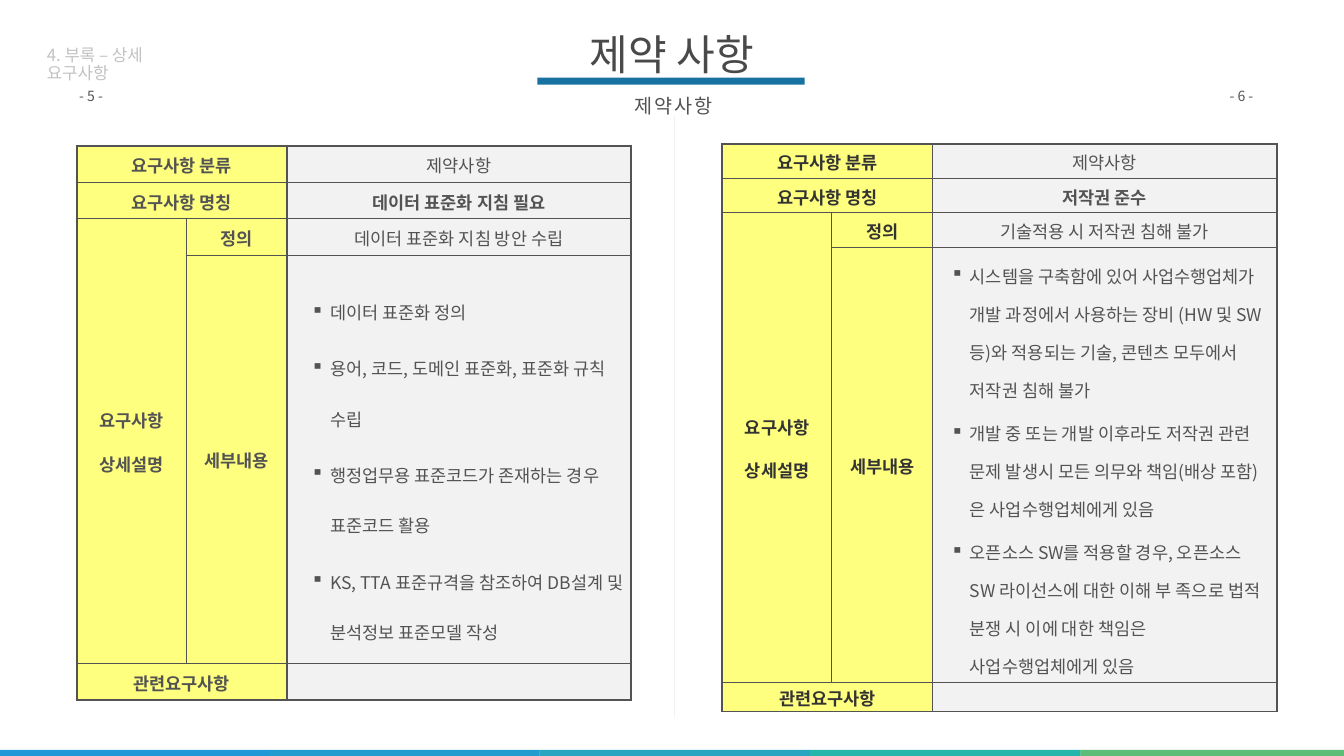
from lxml.etree import SubElement
from pptx import Presentation
from pptx.dml.color import RGBColor
from pptx.enum.shapes import MSO_SHAPE
from pptx.enum.text import MSO_ANCHOR, MSO_AUTO_SIZE, PP_ALIGN
from pptx.oxml import parse_xml
from pptx.oxml.ns import nsdecls, qn
from pptx.util import Inches, Pt

FONT = "Noto Sans CJK KR"
COLORS = {
    "text": "535353", "label": "333333", "title": "494949", "section": "C2C2C2",
    "yellow": "FFFF00", "gray": "F2F2F2", "white": "FFFFFF", "accent": "1772A2",
}
FOOTER = ["1F98D8", "229CCE", "27A5C1", "24B6AB", "5BBD76"]
COL_WIDTHS = [2.17, 2, 6.83]
COL_LINES = [3, 1, 2.25, 3]
ROW_LINES = [3, 1, 1, 1, 1, 3]
MERGES = [(0, 0, 0, 1), (1, 0, 1, 1), (2, 0, 3, 0), (4, 0, 4, 1)]
LABELS = {
    (0, 0): ["요구사항 분류"], (1, 0): ["요구사항 명칭"], (2, 0): ["요구사항", "상세설명"],
    (2, 1): ["정의"], (3, 1): ["세부내용"], (4, 0): ["관련요구사항"],
}
STANDARD = {
    "left": 1.52, "top": 2.9, "rows": [0.72, 0.72, 0.72, 8.11, 0.72],
    "label_color": COLORS["text"], "indent": 0.79, "spacing": 2,
    "values": ["제약사항", "데이터 표준화 지침 필요", "데이터 표준화 지침 방안 수립"],
    "details": [
        "데이터 표준화 정의",
        "용어, 코드, 도메인 표준화, 표준화 규칙 수립",
        "행정업무용 표준코드가 존재하는 경우 표준코드 활용",
        "KS, TTA 표준규격을 참조하여 DB설계 및 분석정보 표준모델 작성",
    ],
}
COPYRIGHT = {
    "left": 14.33, "top": 2.86, "rows": [0.68, 0.68, 0.68, 8.63, 0.58],
    "label_color": COLORS["label"], "indent": 0.67, "spacing": 1.5,
    "values": ["제약사항", "저작권 준수", "기술적용 시 저작권 침해 불가"],
    "details": [
        "시스템을 구축함에 있어 사업수행업체가 개발 과정에서 사용하는 장비 (HW 및 SW 등)와 "
        "적용되는 기술, 콘텐츠 모두에서 저작권 침해 불가",
        "개발 중 또는 개발 이후라도 저작권 관련 문제 발생시 모든 의무와 책임(배상 포함)은 "
        "사업수행업체에게 있음",
        "오픈소스 SW를 적용할 경우, 오픈소스 SW 라이선스에 대한 이해 부 족으로 법적 분쟁 시 "
        "이에 대한 책임은 사업수행업체에게 있음",
    ],
}


def format_runs(p, size, color, bold=False):
    for r in p.runs:
        r.font.size = Pt(size)
        r.font.name = FONT
        r.font.bold = bold
        r.font.color.rgb = RGBColor.from_string(color)
        SubElement(r._r.get_or_add_rPr(), qn("a:ea")).set("typeface", FONT)


def add_bar(s, left, top, width, height, color, line=None):
    sp = s.shapes.add_shape(MSO_SHAPE.RECTANGLE, Inches(left), Inches(top), Inches(width), Inches(height))
    sp.shadow.inherit = False
    sp.fill.solid()
    sp.fill.fore_color.rgb = RGBColor.from_string(color)
    if line:
        sp.line.color.rgb = RGBColor.from_string(line)
        sp.line.width = Pt(1)
    else:
        sp.line.fill.background()
    return sp


def add_text(s, box, text, size, color, inset=(0.1, 0.05), wrap=True, align=PP_ALIGN.LEFT):
    sp = s.shapes.add_textbox(*[Inches(v) for v in box])
    tf = sp.text_frame
    tf.word_wrap = wrap
    tf.auto_size = MSO_AUTO_SIZE.SHAPE_TO_FIT_TEXT
    tf.margin_left = tf.margin_right = Inches(inset[0])
    tf.margin_top = tf.margin_bottom = Inches(inset[1])
    tf.text = text
    p = tf.paragraphs[0]
    p.alignment = align
    format_runs(p, size, color)
    return tf


def fill_cell(cell, color, alpha=None):
    cell.fill.solid()
    cell.fill.fore_color.rgb = RGBColor.from_string(color)
    if alpha:
        rgb = cell._tc.tcPr.find(qn("a:solidFill")).find(qn("a:srgbClr"))
        SubElement(rgb, qn("a:alpha")).set("val", str(alpha * 1000))


def set_borders(cell, left, right, top, bottom):
    for i, (side, width) in enumerate(zip("LRTB", (left, right, top, bottom))):
        cell._tc.tcPr.insert(i, parse_xml(
            f'<a:ln{side} {nsdecls("a")} w="{Pt(width)}"><a:solidFill>'
            f'<a:srgbClr val="{COLORS["text"]}"/></a:solidFill></a:ln{side}>'))


def set_cell_text(cell, lines, color, bold, inset, spacing=1.07, before=0, after=8, indent=None):
    cell.vertical_anchor = MSO_ANCHOR.MIDDLE
    cell.margin_left = cell.margin_right = Inches(inset)
    cell.margin_top = cell.margin_bottom = Inches(inset)
    tf = cell.text_frame
    tf.text = "\n".join(lines)
    for p in tf.paragraphs:
        p.line_spacing = spacing
        p.space_before, p.space_after = Pt(before), Pt(after)
        if indent:
            cell.margin_right = Inches(0.12)
            pPr = p._p.get_or_add_pPr()
            pPr.set("marL", str(Inches(indent)))
            pPr.set("indent", str(Inches(-0.38)))
            SubElement(pPr, qn("a:buChar")).set("char", "▪")
        else:
            p.alignment = PP_ALIGN.CENTER
        format_runs(p, 25, color, bold)


def add_requirement_table(s, req):
    rows = req["rows"]
    frame = s.shapes.add_table(len(rows), len(COL_WIDTHS), Inches(req["left"]), Inches(req["top"]),
                               Inches(sum(COL_WIDTHS)), Inches(sum(rows)))
    table = frame.table
    table.first_row = table.horz_banding = False
    for col, width in zip(table.columns, COL_WIDTHS):
        col.width = Inches(width)
    for row, height in zip(table.rows, rows):
        row.height = Inches(height)
    for r1, c1, r2, c2 in MERGES:
        table.cell(r1, c1).merge(table.cell(r2, c2))

    for r in range(len(rows)):
        for c in range(len(COL_WIDTHS)):
            cell = table.cell(r, c)
            if c == 2:
                fill_cell(cell, COLORS["gray"])
            else:
                fill_cell(cell, COLORS["yellow"], 50)
            if not cell.is_spanned:
                right = c + (cell.span_width if cell.is_merge_origin else 1)
                bottom = r + (cell.span_height if cell.is_merge_origin else 1)
                set_borders(cell, COL_LINES[c], COL_LINES[right], ROW_LINES[r], ROW_LINES[bottom])

    for (r, c), lines in LABELS.items():
        set_cell_text(table.cell(r, c), lines, req["label_color"], True, 0.01, before=12, after=12)
    for r, value in enumerate(req["values"]):
        set_cell_text(table.cell(r, 2), [value], COLORS["text"], r == 1, 0.07)
    set_cell_text(table.cell(3, 2), req["details"], COLORS["text"], False, 0.07,
                  spacing=req["spacing"], indent=req["indent"])


def main():
    prs = Presentation()
    prs.slide_width, prs.slide_height = Inches(26.66), Inches(15)
    s = prs.slides.add_slide(prs.slide_layouts[6])

    for i, color in enumerate(FOOTER):
        add_bar(s, -0.03 + i * 5.365, 14.88, 5.37, 0.2, color)

    add_requirement_table(s, STANDARD)
    divider = add_bar(s, 7.4, 8.25, 11.96, 0.05, COLORS["gray"], COLORS["white"])
    divider.rotation = 90
    add_requirement_table(s, COPYRIGHT)

    for left, number in ((1.52, "- 5 -"), (24.34, "- 6 -")):
        add_text(s, (left, 1.68, 0.94, 0.44), number, 20, COLORS["text"], (0.05, 0.05))

    add_bar(s, 10.66, 1.54, 5.3, 0.14, COLORS["accent"])
    subtitle = add_text(s, (12.33, 1.65, 2.05, 0.78), "제약사항", 28, COLORS["text"],
                        (0.24, 0.12), False, PP_ALIGN.CENTER)
    subtitle.paragraphs[0].line_spacing = 1.2
    subtitle.paragraphs[0].runs[0].font._element.set("spc", "300")
    title = add_text(s, (10.53, 0.44, 5.6, 1.24), "제약 사항", 60, COLORS["title"],
                     (0.12, 0.12), True, PP_ALIGN.CENTER)
    title.vertical_anchor = MSO_ANCHOR.MIDDLE
    section = add_text(s, (0.83, 0.89, 3.5, 0.5), "4. 부록 – 상세\v요구사항", 24, COLORS["section"], wrap=False)
    section.paragraphs[0].line_spacing = 0.9

    prs.save("out.pptx")


if __name__ == "__main__":
    main()
